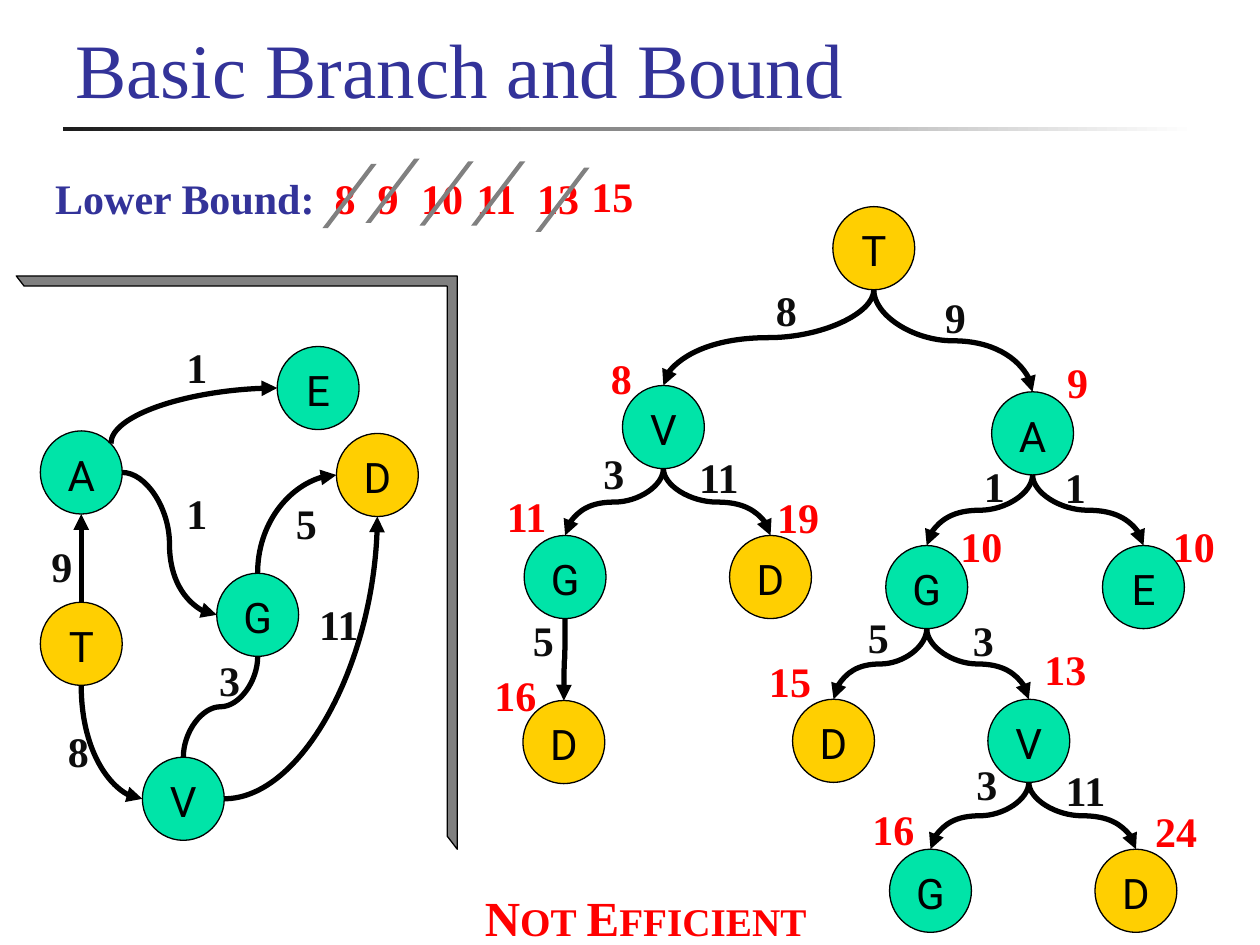
from lxml.etree import SubElement
from pptx import Presentation
from pptx.dml.color import RGBColor
from pptx.enum.shapes import MSO_CONNECTOR, MSO_SHAPE
from pptx.enum.text import MSO_ANCHOR, PP_ALIGN
from pptx.oxml.ns import qn
from pptx.util import Pt

PX = 9144  # 100 px to the inch
BLACK = RGBColor(0, 0, 0)
WHITE = RGBColor(255, 255, 255)
SHADE = RGBColor(0x1C, 0x1C, 0x1C)
INK = RGBColor(0x0D, 0x0D, 0x0D)
GRAY = RGBColor(0x80, 0x80, 0x80)
BLUE = RGBColor(0x33, 0x33, 0x99)
RED = RGBColor(255, 0, 0)
GREEN = RGBColor(0, 0xE4, 0xA8)
GOLD = RGBColor(0xFF, 0xCF, 0x01)
SERIF, SANS = "Times New Roman", "Roboto"

NODE_W, NODE_H, LABEL_H = 65, 66, 41
ENDS = "TD"  # start and goal are gold

# Key: left, top. The first letter of a key is the node's name.
NODES = {
    "A": (32, 342), "E": (220, 275), "G": (172, 455),
    "V": (113, 601), "T": (32, 478), "D": (267, 344),
    "T0": (661, 164), "V1": (494, 306), "A1": (787, 311),
    "G2": (416, 425), "D2": (579, 425), "G3": (703, 433), "E3": (875, 433),
    "D4": (415, 556), "D5": (629, 555), "V5": (784, 555),
    "G6": (706, 674), "D6": (869, 674),
}
# Side: offset inside the node
SIDES = {"top": (32.5, 0), "bottom": (32.5, 66), "left": (0, 33),
         "right": (65, 33), "corner": (56, 10)}
# from, side, to, side, arrow
GRAPH = [
    ("T", "bottom", "V", "left", True),
    ("V", "top", "G", "bottom", False),
    ("V", "right", "D", "bottom", True),
    ("A", "right", "G", "left", True),
    ("A", "corner", "E", "left", True),
    ("T", "top", "A", "bottom", True),
    ("G", "top", "D", "left", True),
]
TREE = ["T0 V1", "T0 A1", "V1 G2", "V1 D2", "A1 G3", "A1 E3",
        "G3 V5", "G3 D5", "G2 D4", "V5 G6", "V5 D6"]

# text, left, top, width
COSTS = [
    ("5", 225, 399, 31), ("1", 138, 275, 31), ("1", 138, 391, 31),
    ("9", 31, 433, 31), ("8", 44, 580, 31), ("3", 164, 523, 31),
    ("11", 239, 479, 60), ("8", 606, 230, 31), ("9", 740, 235, 31),
    ("3", 469, 359, 31), ("11", 543, 362, 55), ("1", 771, 369, 31),
    ("1", 826, 370, 55), ("5", 679, 489, 31), ("3", 753, 492, 55),
    ("5", 413, 492, 31), ("11", 834, 611, 55), ("3", 765, 606, 31),
]
BOUNDS = [
    ("8", 475, 284, 31), ("9", 837, 287, 31), ("11", 390, 393, 56),
    ("19", 605, 394, 57), ("10", 751, 417, 56), ("10", 919, 417, 57),
    ("15", 599, 524, 56), ("13", 817, 515, 57), ("16", 381, 535, 56),
    ("16", 681, 642, 56), ("24", 905, 643, 57),
]
LOWER = [("8", 254, 124, 40), ("9", 288, 124, 40), ("10", 323, 124, 56),
         ("11", 366, 124, 56), ("13", 415, 124, 56), ("15", 458, 122, 56)]
STRIKES = [(256, 130), (290, 126), (425, 133), (333, 128), (374, 128)]


def emu(*nums):
    return [round(n * PX) for n in nums]


def write(frame, text, size, face, color, bold=None, align=None):
    para = frame.paragraphs[0]
    para.alignment = align
    run = para.add_run()
    run.text = text
    font = run.font
    font.size, font.name, font.bold = Pt(size), face, bold
    font.color.rgb = color
    return run


def add_text(box, text, size, color, bold=True, align=None):
    frame = slide.shapes.add_textbox(*emu(*box)).text_frame
    frame.word_wrap = True
    frame.vertical_anchor = MSO_ANCHOR.BOTTOM
    return write(frame, text, size, SERIF, color, bold, align)


def add_labels(rows, color, height):
    for text, x, y, w in rows:
        add_text((x, y, w, height), text, 24, color, align=PP_ALIGN.CENTER)


def add_form(kind, box, color, lined=True):
    form = slide.shapes.add_shape(kind, *emu(*box))
    form.shadow.inherit = False
    form.fill.solid()
    form.fill.fore_color.rgb = color
    if lined:
        form.line.color.rgb = BLACK
        form.line.width = Pt(0.75)
    else:
        form.line.fill.background()
    return form


def add_node(key, x, y):
    name = key[0]
    node = add_form(MSO_SHAPE.OVAL, (x, y, NODE_W, NODE_H),
                    GOLD if name in ENDS else GREEN)
    frame = node.text_frame
    frame.word_wrap = False
    frame.vertical_anchor = MSO_ANCHOR.TOP
    write(frame, name, 24, SANS, BLACK, align=PP_ALIGN.CENTER)


def spot(key, side):
    return [a + b for a, b in zip(NODES[key], SIDES[side])]


def add_edge(start, out, end, side, arrow=True):
    """Curve between two node sides; one that leaves vertically is turned."""
    (x1, y1), (x2, y2) = spot(start, out), spot(end, side)
    mid_x, mid_y = (x1 + x2) / 2, (y1 + y2) / 2
    dx, dy = x1 - mid_x, y1 - mid_y
    turn = 0
    if out != "right":
        turn = 270 if dx * dy > 0 else 90
        dx, dy = (-dy, dx) if turn == 270 else (dy, -dx)
    edge = slide.shapes.add_connector(
        MSO_CONNECTOR.CURVE,
        *emu(mid_x + dx, mid_y + dy, mid_x - dx, mid_y - dy))
    edge.rotation = turn
    edge.line.color.rgb = BLACK
    edge.line.width = Pt(3)
    props = edge._element.spPr
    if (out == "right") != (side == "left"):
        props.find(qn("a:prstGeom")).set("prst", "curvedConnector2")
    if arrow:
        SubElement(edge.line._get_or_add_ln(), qn("a:tailEnd"), type="triangle")
    SubElement(props, qn("a:effectLst"))


deck = Presentation()
deck.slide_width, deck.slide_height = emu(1000, 750)
slide = deck.slides.add_slide(deck.slide_layouts[6])

rule = add_form(MSO_SHAPE.RECTANGLE, (50, 101, 900, 3), SHADE, lined=False)
rule.fill.gradient()
rule.fill.gradient_angle = 0
for stop, color, place in zip(rule.fill.gradient_stops, (SHADE, WHITE), (0, 1)):
    stop.color.rgb, stop.position = color, place

add_text((50, 13, 929, 82), "Basic Branch and Bound", 44, BLUE, bold=False)
add_text((34, 124, 233, 58), "Lower Bound:", 24, BLUE)

panel = add_form(MSO_SHAPE.HALF_FRAME, (13, 219, 350, 455), GRAY)
panel.adjustments[0] = panel.adjustments[1] = 0.023
panel._element.spPr.xfrm.set("flipH", "1")

for key, (x, y) in NODES.items():
    add_node(key, x, y)
for link in GRAPH:
    add_edge(*link)
for link in TREE:
    parent, child = link.split()
    add_edge(parent, "bottom", child, "top")

add_labels(COSTS, INK, LABEL_H)
add_labels(BOUNDS, RED, LABEL_H)
add_labels(LOWER, RED, 58)
for x, y in STRIKES:
    strike = add_form(MSO_SHAPE.PARALLELOGRAM, (x, y, 43, 51), GRAY, lined=False)
    strike.adjustments[0] = 0.9

verdict = add_text((375, 702, 290, 54), "Not Efficient", 28, RED)
verdict.font._element.set("cap", "small")

deck.save("out.pptx")
